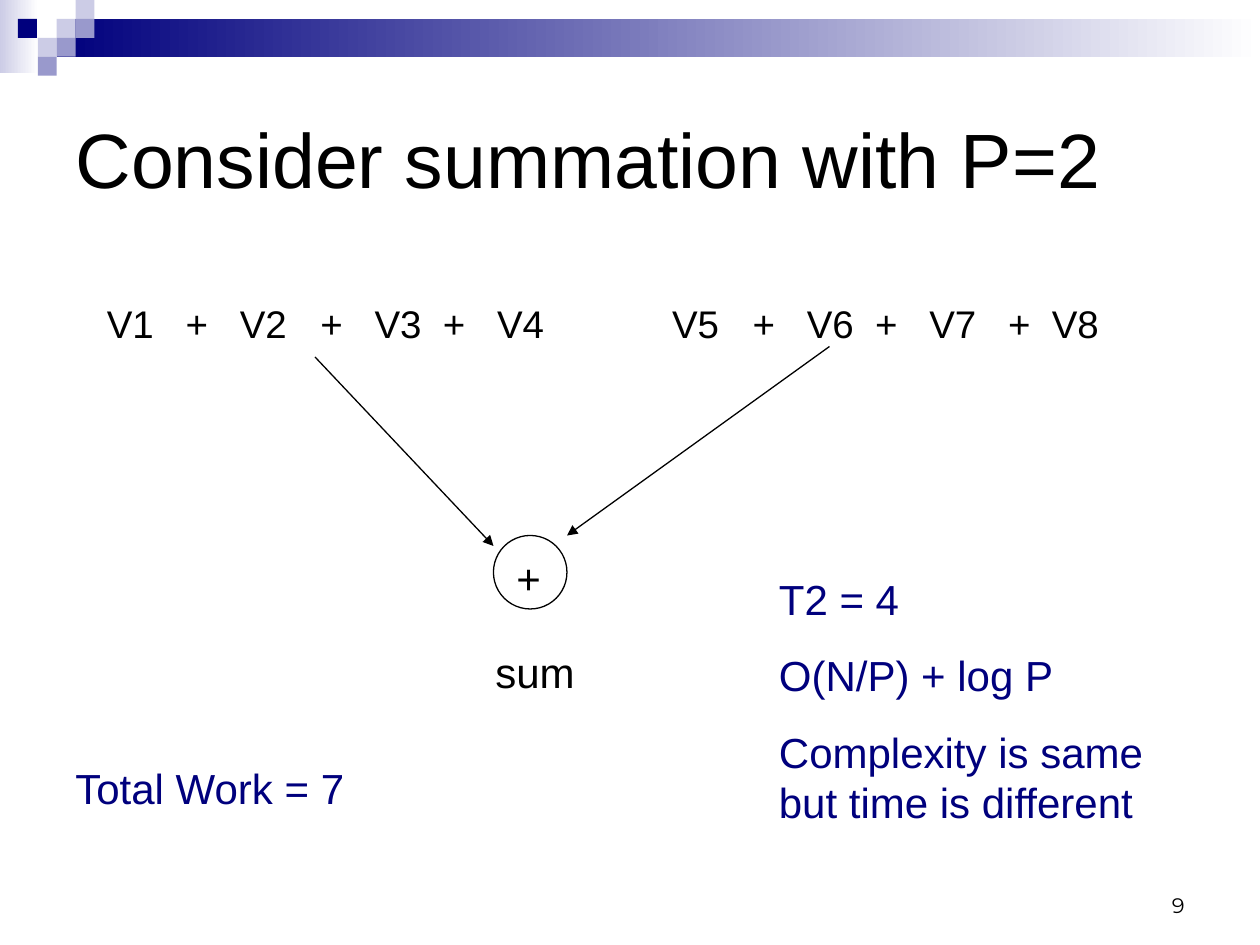
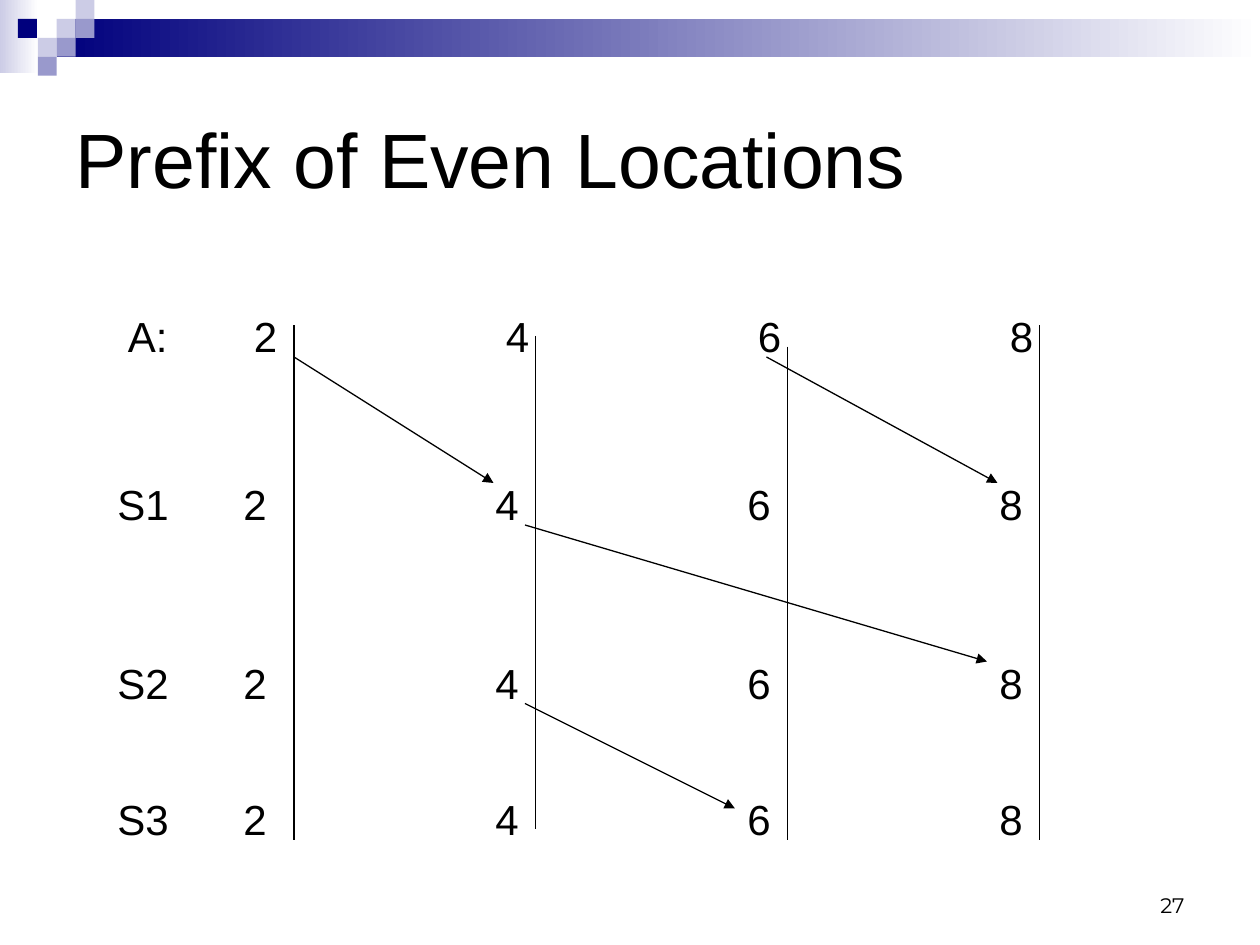
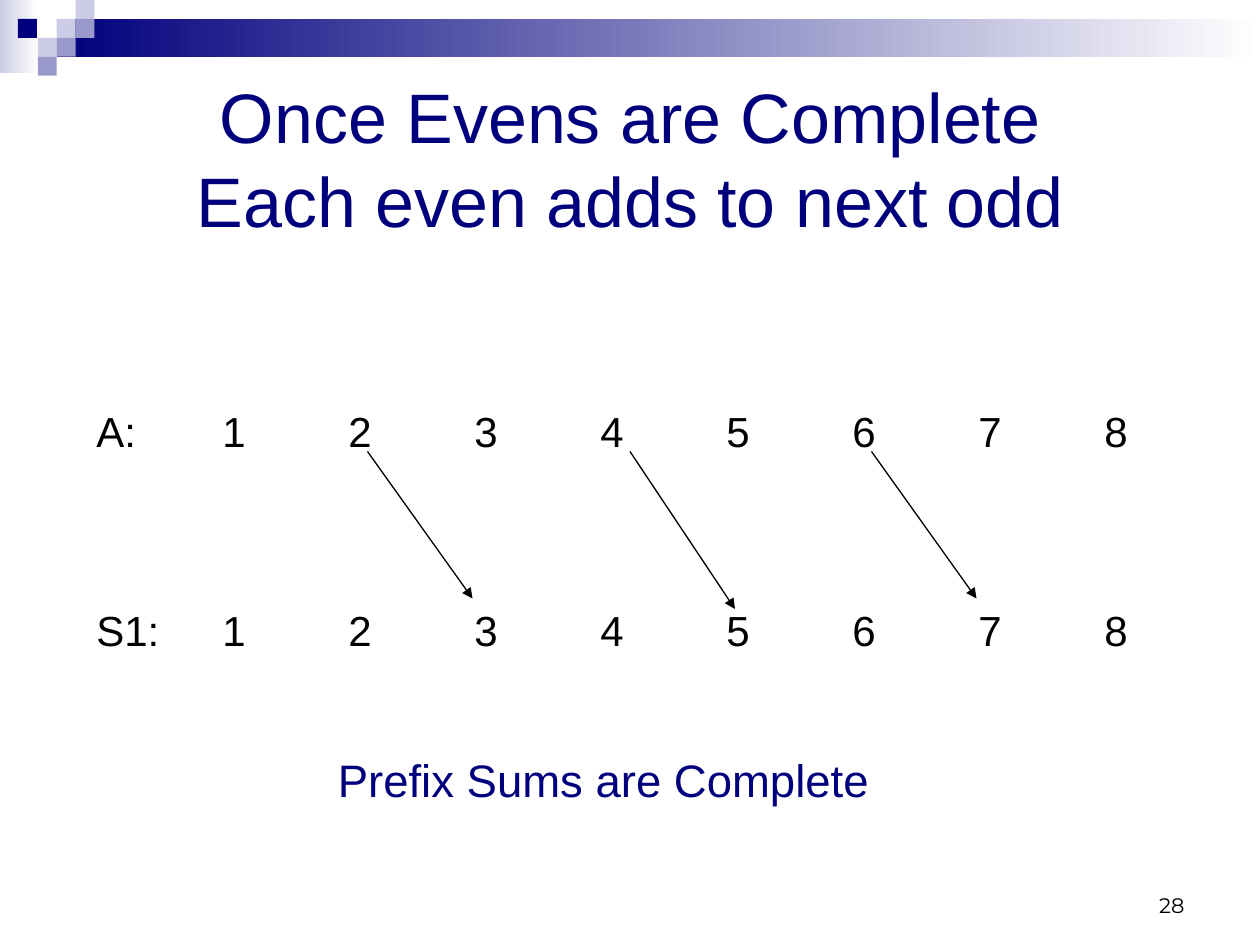
from lxml.etree import SubElement
from pptx import Presentation
from pptx.dml.color import RGBColor
from pptx.enum.shapes import MSO_CONNECTOR, MSO_SHAPE
from pptx.enum.text import MSO_ANCHOR, MSO_AUTO_SIZE, PP_ALIGN
from pptx.oxml.ns import qn
from pptx.util import Pt

# Shared style
HUES = {"ink": "000000", "navy": "00007D", "mid": "9999CC",
        "pale": "CCCCE6", "white": "FFFFFF"}
INCH = 72
SIDE = 10.8  # side of a corner square
FADES = [((0, 0, 22, 42), "pale"), ((32.4, 10.8, 687.6, 21.6), "navy")]
# column, row, colour of each corner square
TILES = [(3, 1, "pale"), (4, 0, "pale"), (4, 1, "mid"), (2, 2, "pale"),
         (0.95, 1, "navy"), (3, 2, "mid"), (2, 3, "mid")]

# Slide content: (text, box, format); lines are (x1, y1, x2, y2)
TERMS = ["V1", "+", "V2", "+", "V3", "+", "V4",
         "V5", "+", "V6", "+", "V7", "+", "V8"]
STOPS = [45, 76, 122, 153, 192, 223, 323, 369, 400, 439, 470, 515, 540]
EVENS = [INCH * n for n in (1, 3, 5, 7)]
ALL = [INCH * n for n in range(1, 9)]
NOTES = ["T2 = 4", "O(N/P) + log P", "Complexity is same but time is different"]


def row(name, nums):
    return "\t".join([name, *map(str, nums)])


SLIDES = [
    {"title": "Consider summation with P=2", "page": "9",
     "ring": (282, 306, 42, 42),
     "texts": [
         ("\t".join(TERMS), (54, 168, 612, 34), {"size": 22, "tabs": STOPS}),
         ("+", (288, 312, 54, 36), {}),
         ("sum", (276, 366, 66, 36), {}),
         ("\n".join(NOTES), (438, 324, 228, 153), {"hue": "navy", "gap": 15}),
         ("Total Work = 7", (36, 432, 222, 36), {"hue": "navy"})],
     "arrows": [(180, 204, 282, 312), (474, 198, 324, 306)]},
    {"title": "Prefix of Even Locations", "page": "27",
     "texts": [(row(name, range(2, 9, 2)), (x, y, 594, 36), {"tabs": EVENS})
               for name, x, y in [("A:", 66, 174), ("S1", 60, 270),
                                  ("S2", 60, 372), ("S3", 60, 450)]],
     "arrows": [(168, 204, 282, 276), (438, 204, 570, 276),
                (300, 300, 564, 378), (300, 402, 420, 462)],
     "rules": [(x, top, x, end) for x, top, end in
               [(168, 186, 480), (306, 192, 474),
                (450, 198, 480), (594, 186, 480)]]},
    {"title": "Once Evens are Complete\vEach even adds to next odd", "page": "28",
     "style": {"size": 40, "hue": "navy", "align": PP_ALIGN.CENTER},
     "texts": [
         (row("A:", range(1, 9)), (48, 228, 624, 36), {"tabs": ALL}),
         (row("S1:", range(1, 9)), (48, 342, 624, 36), {"tabs": ALL}),
         ("Prefix Sums are Complete", (186, 426, 474, 39),
          {"size": 26, "hue": "navy"})],
     "arrows": [(210, 258, 270, 342), (360, 258, 420, 348),
                (498, 258, 558, 342)]},
]


def tint(name):
    return RGBColor.from_string(HUES[name])


def place(shape, box):
    shape.left, shape.top, shape.width, shape.height = map(Pt, box)


def write(shape, text, size=24, hue="ink", font="Arial", align=PP_ALIGN.LEFT,
          anchor=MSO_ANCHOR.TOP, gap=0, tabs=()):
    frame = shape.text_frame
    frame.word_wrap = True
    frame.auto_size = MSO_AUTO_SIZE.NONE
    frame.vertical_anchor = anchor
    for i, line in enumerate(text.split("\n")):
        para = frame.add_paragraph() if i else frame.paragraphs[0]
        para.text = line
        para.alignment = align
        para.space_before = Pt(gap if i else 0)
        if tabs:
            stops = SubElement(para._p.get_or_add_pPr(), qn("a:tabLst"))
            for pos in tabs:
                SubElement(stops, qn("a:tab"), pos=str(Pt(pos)), algn="l")
        for run in para.runs:
            run.font.size = Pt(size)
            run.font.name = font
            run.font.color.rgb = tint(hue)


def label(slide, text, box, **style):
    write(slide.shapes.add_textbox(*map(Pt, box)), text, **style)


def block(slide, box, hue, kind=MSO_SHAPE.RECTANGLE, fade=False, edge=None):
    shape = slide.shapes.add_shape(kind, *map(Pt, box))
    shape.shadow.inherit = False
    if fade:
        shape.fill.gradient()
        shape.fill.gradient_angle = 0
        for stop, name in zip(shape.fill.gradient_stops, (hue, "white")):
            stop.color.rgb = tint(name)
    else:
        shape.fill.solid()
        shape.fill.fore_color.rgb = tint(hue)
    if edge:
        shape.line.color.rgb = tint(edge)
        shape.line.width = Pt(0.75)
    else:
        shape.line.fill.background()
    return shape


def link(slide, ends, head=False):
    line = slide.shapes.add_connector(MSO_CONNECTOR.STRAIGHT, *map(Pt, ends))
    line.line.color.rgb = tint("ink")
    line.line.width = Pt(0.75)
    props = line.element.spPr
    if head:
        SubElement(props.find(qn("a:ln")), qn("a:tailEnd"), type="triangle")
    SubElement(props, qn("a:effectLst"))


def adorn(slide, master):
    """Build the corner pattern and move it to the master."""
    parts = [block(slide, box, hue, fade=True) for box, hue in FADES]
    parts += [block(slide, (col * SIDE, line * SIDE, SIDE, SIDE), hue)
              for col, line, hue in TILES]
    for part in parts:
        master.shapes.element.append(part.element)


def build(slide, data):
    # Title
    title = slide.shapes.title
    place(title, (36, 36, 648, 108))
    style = {"size": 44, "anchor": MSO_ANCHOR.MIDDLE, **data.get("style", {})}
    write(title, data["title"], **style)
    # Diagram
    if "ring" in data:
        block(slide, data["ring"], "white", MSO_SHAPE.OVAL, edge="ink")
    for text, box, form in data["texts"]:
        label(slide, text, box, **form)
    for ends in data["arrows"]:
        link(slide, ends, head=True)
    for ends in data.get("rules", []):
        link(slide, ends)
    # Page number
    label(slide, data["page"], (516, 492, 168, 36), size=12, font="Montserrat",
          align=PP_ALIGN.RIGHT, anchor=MSO_ANCHOR.BOTTOM)


def main():
    deck = Presentation()
    deck.slide_width, deck.slide_height = Pt(720), Pt(540)
    for i, data in enumerate(SLIDES):
        slide = deck.slides.add_slide(deck.slide_layouts[5])
        if i == 0:
            adorn(slide, deck.slide_master)
        build(slide, data)
    deck.save("out.pptx")


if __name__ == "__main__":
    main()
